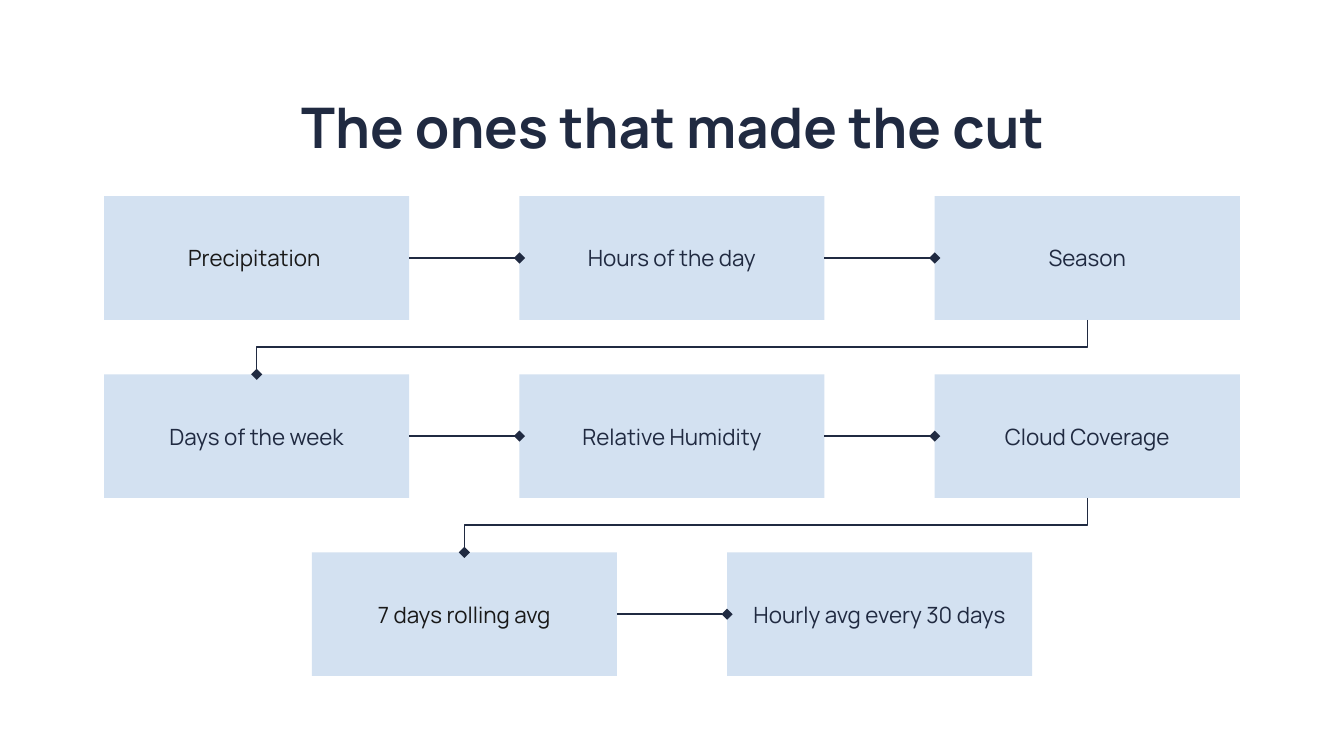
import pptx
import pptx.dml.color
import pptx.enum.shapes
import pptx.enum.text
import pptx.oxml
import pptx.oxml.ns
import pptx.util
from pptx.util import Inches

NAVY, BLACK, PALE_BLUE = "202A41", "191919", "D3E1F1"
SLIDE_WIDTH = 10
SLIDE_HEIGHT = SLIDE_WIDTH * 9 / 16
BOX_WIDTH, BOX_HEIGHT = 2.27, 0.92
COLUMN_GAP = 0.82
FIRST_ROW_TOP, LAST_ROW_TOP = 1.46, 4.11
TOP, LEFT, BOTTOM, RIGHT = range(4)

# Each row of the flow: feature and text colour
FEATURE_ROWS = [
    [("Precipitation ", BLACK), ("Hours of the day", NAVY), ("Season", NAVY)],
    [("Days of the week", NAVY), ("Relative Humidity", NAVY), ("Cloud Coverage", NAVY)],
    [("7 days rolling avg", BLACK), ("Hourly avg every 30 days", NAVY)],
]
ROW_PITCH = (LAST_ROW_TOP - FIRST_ROW_TOP) / (len(FEATURE_ROWS) - 1)

FRAME_FORMAT = {
    "word_wrap": True,
    "auto_size": pptx.enum.text.MSO_AUTO_SIZE.NONE,
    "margin_left": Inches(0.1),
    "margin_top": Inches(0.1),
    "margin_right": Inches(0.1),
    "margin_bottom": Inches(0.1),
}
TITLE_FONT = {"name": "Manrope", "size": pptx.util.Pt(30), "bold": True}
FEATURE_FONT = {"name": "Manrope", "size": pptx.util.Pt(12), "bold": False}


def rgb(value):
    return pptx.dml.color.RGBColor.from_string(value)


def apply_format(target, values):
    for name, value in values.items():
        setattr(target, name, value)


def write_text(frame, text, font, color, anchor):
    apply_format(frame, {**FRAME_FORMAT, "vertical_anchor": anchor})
    frame.text = text
    paragraph = frame.paragraphs[0]
    paragraph.alignment = pptx.enum.text.PP_ALIGN.CENTER
    run = paragraph.runs[0]
    apply_format(run.font, font)
    run.font.color.rgb = rgb(color)


def add_title(slide, text):
    title = slide.shapes.title
    apply_format(title, {"left": Inches(0.79), "top": Inches(0.59),
                         "width": Inches(8.43), "height": Inches(0.63)})
    write_text(title.text_frame, text, TITLE_FONT, NAVY,
               pptx.enum.text.MSO_ANCHOR.TOP)


def add_feature(slide, left, top, text, color):
    feature = slide.shapes.add_shape(
        pptx.enum.shapes.MSO_SHAPE.RECTANGLE, Inches(left), Inches(top),
        Inches(BOX_WIDTH), Inches(BOX_HEIGHT))
    feature.shadow.inherit = False
    feature.fill.solid()
    feature.fill.fore_color.rgb = rgb(PALE_BLUE)
    feature.line.fill.background()
    write_text(feature.text_frame, text, FEATURE_FONT, color,
               pptx.enum.text.MSO_ANCHOR.MIDDLE)
    return feature


def add_feature_row(slide, row_index, features):
    """Place one row of boxes, centred on the slide."""
    count = len(features)
    row_width = count * BOX_WIDTH + (count - 1) * COLUMN_GAP
    first_left = (SLIDE_WIDTH - row_width) / 2
    top = FIRST_ROW_TOP + row_index * ROW_PITCH
    return [add_feature(slide, first_left + column * (BOX_WIDTH + COLUMN_GAP),
                        top, text, color)
            for column, (text, color) in enumerate(features)]


def add_link(slide, kind, source, source_side, target, target_side):
    """Join two boxes with a line that ends in a diamond."""
    link = slide.shapes.add_connector(kind, 0, 0, 0, 0)
    link.begin_connect(source, source_side)
    link.end_connect(target, target_side)
    link.line.color.rgb = rgb(NAVY)
    link.line.width = pptx.util.Pt(0.75)
    properties = link._element.spPr
    outline = properties.find(pptx.oxml.ns.qn("a:ln"))
    outline.append(pptx.oxml.parse_xml(
        f'<a:tailEnd {pptx.oxml.ns.nsdecls("a")} type="diamond"/>'))
    properties.append(pptx.oxml.parse_xml(
        f'<a:effectLst {pptx.oxml.ns.nsdecls("a")}/>'))
    return link


def add_row_break(slide, source, target):
    """Link the end of a row down to the start of the next one."""
    link = add_link(slide, pptx.enum.shapes.MSO_CONNECTOR.ELBOW,
                    source, BOTTOM, target, TOP)
    # A quarter turn makes the elbow leave and arrive vertically
    across, down = link.width, link.height
    center_x = link.left + across // 2
    center_y = link.top + down // 2
    apply_format(link, {"left": center_x - down // 2,
                        "top": center_y - across // 2,
                        "width": down, "height": across})
    transform = link._element.spPr.find(pptx.oxml.ns.qn("a:xfrm"))
    transform.attrib.pop("flipH", None)
    transform.set("rot", "5400000")


def main():
    presentation = pptx.Presentation()
    presentation.slide_width = Inches(SLIDE_WIDTH)
    presentation.slide_height = Inches(SLIDE_HEIGHT)
    slide = presentation.slides.add_slide(presentation.slide_layouts[5])

    add_title(slide, "The ones that made the cut")

    # Feature boxes
    rows = [add_feature_row(slide, index, features)
            for index, features in enumerate(FEATURE_ROWS)]

    # Links within each row
    for row in rows:
        for source, target in zip(row, row[1:]):
            add_link(slide, pptx.enum.shapes.MSO_CONNECTOR.STRAIGHT,
                     source, RIGHT, target, LEFT)

    # Links from row to row
    for row, next_row in zip(rows, rows[1:]):
        add_row_break(slide, row[-1], next_row[0])

    presentation.save("out.pptx")


if __name__ == "__main__":
    main()
